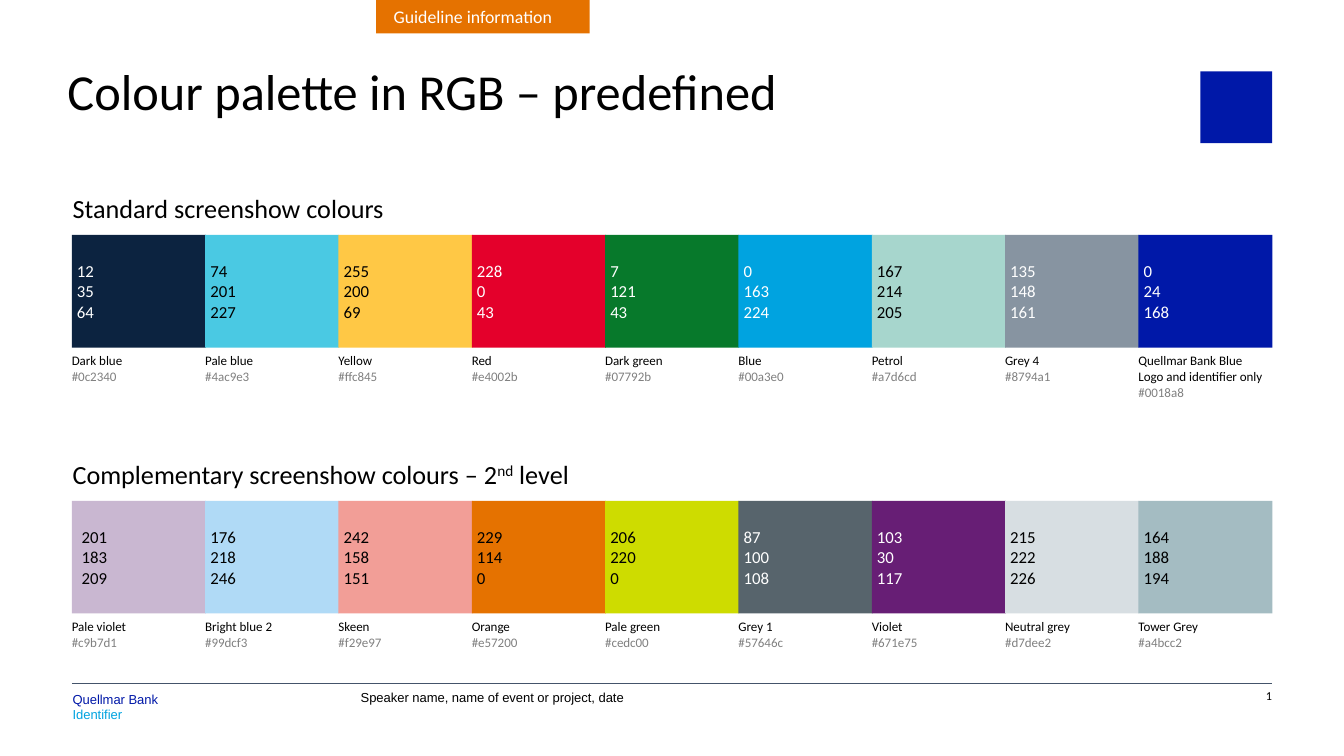
"""Build the slide of predefined RGB colour swatches."""
from lxml import etree
from pptx import Presentation
from pptx.dml.color import RGBColor
from pptx.enum.shapes import MSO_CONNECTOR, MSO_SHAPE
from pptx.enum.text import MSO_ANCHOR as ANCHOR, PP_ALIGN as ALIGN
from pptx.oxml.ns import qn
from pptx.util import Cm, Pt

BLACK, WHITE, GREY = "000000", "FFFFFF", "808080"
BRAND_BLUE, SKY_BLUE, ORANGE = "0018A8", "00A3E0", "E57200"
BANK = "Quellmar Bank"
LEFT, PITCH = 1.81, 3.36


def colour(value):
    return RGBColor.from_string(value)


def write(shape, lines, size, font="Calibri", anchor=ANCHOR.TOP,
          insets=(0, 0, 0, 0), wrap=True, spacing=None, align=ALIGN.LEFT):
    frame = shape.text_frame
    frame.word_wrap = wrap
    frame.vertical_anchor = anchor
    frame.margin_left, frame.margin_top, frame.margin_right, frame.margin_bottom = map(Cm, insets)
    frame.text = "\n".join(text for text, ink in lines)
    for para, (text, ink) in zip(frame.paragraphs, lines):
        para.alignment = align
        para.line_spacing = spacing
        para.font.name = font
        para.font.size = Pt(size)
        para.font.color.rgb = colour(ink)
    return frame


deck = Presentation()
deck.slide_width, deck.slide_height = Cm(33.87), Cm(19.05)
page = deck.slides.add_slide(deck.slide_layouts[5])
shapes = page.shapes

title = shapes.title
title.left, title.top, title.width, title.height = Cm(1.7), Cm(1.7), Cm(28.55), Cm(2)
write(title, [("Colour palette in RGB – predefined", BLACK)], 36,
      insets=(0, 0, 1.5, 0), spacing=0.9)

blocks = [
    (BRAND_BLUE, (30.25, 1.8, 1.81, 1.81)),
    (ORANGE, (9.48, 0, 5.38, 0.84)),
]
for fill, place in blocks:
    block = shapes.add_shape(MSO_SHAPE.RECTANGLE, *map(Cm, place))
    block.shadow.inherit = False
    block.fill.solid()
    block.fill.fore_color.rgb = colour(fill)
    block.line.fill.background()
write(block, [("Guideline information", WHITE)], 12.7, anchor=ANCHOR.MIDDLE,
      insets=(0.44, 0.13, 0.25, 0.13))

palettes = [
    (5.92, ["Standard screenshow colours"], [
        ("0C2340", WHITE, "#0c2340", ["Dark blue"]),
        ("4AC9E3", BLACK, "#4ac9e3", ["Pale blue"]),
        ("FFC845", BLACK, "#ffc845", ["Yellow"]),
        ("E4002B", WHITE, "#e4002b", ["Red"]),
        ("07792B", WHITE, "#07792b", ["Dark green"]),
        (SKY_BLUE, WHITE, "#00a3e0", ["Blue"]),
        ("A7D6CD", BLACK, "#a7d6cd", ["Petrol"]),
        ("8794A1", WHITE, "#8794a1", ["Grey 4"]),
        (BRAND_BLUE, WHITE, "#0018a8", [f"{BANK} Blue", "Logo and identifier only"]),
    ]),
    (12.62, ["Complementary screenshow colours – 2", "nd", " level"], [
        ("C9B7D1", BLACK, "#c9b7d1", ["Pale violet"]),
        ("B0DAF6", BLACK, "#99dcf3", ["Bright blue 2"]),
        ("F29E97", BLACK, "#f29e97", ["Skeen"]),
        (ORANGE, BLACK, "#e57200", ["Orange"]),
        ("CEDC00", BLACK, "#cedc00", ["Pale green"]),
        ("57646C", WHITE, "#57646c", ["Grey 1"]),
        ("671E75", WHITE, "#671e75", ["Violet"]),
        ("D7DEE2", BLACK, "#d7dee2", ["Neutral grey"]),
        ("A4BCC2", BLACK, "#a4bcc2", ["Tower Grey"]),
    ]),
]
for top, heading, swatches in palettes:
    box = shapes.add_textbox(Cm(1.83), Cm(top - 1.07), Cm(30.2), Cm(0.79))
    para = write(box, [(heading[0], BLACK)], 18.7, anchor=ANCHOR.BOTTOM).paragraphs[0]
    for index, text in enumerate(heading[1:]):
        span = para.add_run()
        span.text = text
        if index == 0:
            span._r.get_or_add_rPr().set("baseline", "30000")

    for column, (fill, ink, code, names) in enumerate(swatches):
        left = Cm(LEFT + column * PITCH)
        swatch = shapes.add_shape(MSO_SHAPE.RECTANGLE, left, Cm(top), Cm(3.38), Cm(2.84))
        swatch.shadow.inherit = False
        swatch.fill.solid()
        swatch.fill.fore_color.rgb = colour(fill)
        swatch.line.fill.background()
        side = 0.25 if names == ["Pale violet"] else 0.13
        write(swatch, [(str(channel), ink) for channel in colour(fill)], 12,
              anchor=ANCHOR.MIDDLE, insets=(side, 0.13, side, 0.13))

        label = shapes.add_textbox(left, Cm(top + 2.97), Cm(3.3), Cm(0.4 * (len(names) + 1)))
        write(label, [(name, BLACK) for name in names] + [(code, GREY)], 9.3, wrap=False)

rule = shapes.add_connector(MSO_CONNECTOR.STRAIGHT, Cm(LEFT), Cm(17.22), Cm(32.06), Cm(17.22))
rule.line.color.rgb = colour("44546A")
rule.line.width = Pt(0.5)
etree.SubElement(rule._element.spPr, qn("a:effectLst"))

sender = shapes.add_textbox(Cm(1.83), Cm(17.22), Cm(6.65), Cm(0.91))
write(sender, [(BANK, BRAND_BLUE), ("Identifier", SKY_BLUE)], 9.3,
      font="Arial", insets=(0, 0.23, 0, 0), spacing=Pt(10.7))
event = shapes.add_textbox(Cm(9.09), Cm(17.22), Cm(8.46), Cm(0.91))
write(event, [("Speaker name, name of event or project, date", BLACK)], 9.3,
      font="Arial", insets=(0, 0.23, 0, 0), spacing=Pt(8.7))
number = shapes.add_textbox(Cm(30.25), Cm(17.22), Cm(1.81), Cm(0.91))
write(number, [("1", BLACK)], 8.7, insets=(0, 0.18, 0, 0), spacing=Pt(8.7), align=ALIGN.RIGHT)

deck.save("out.pptx")
